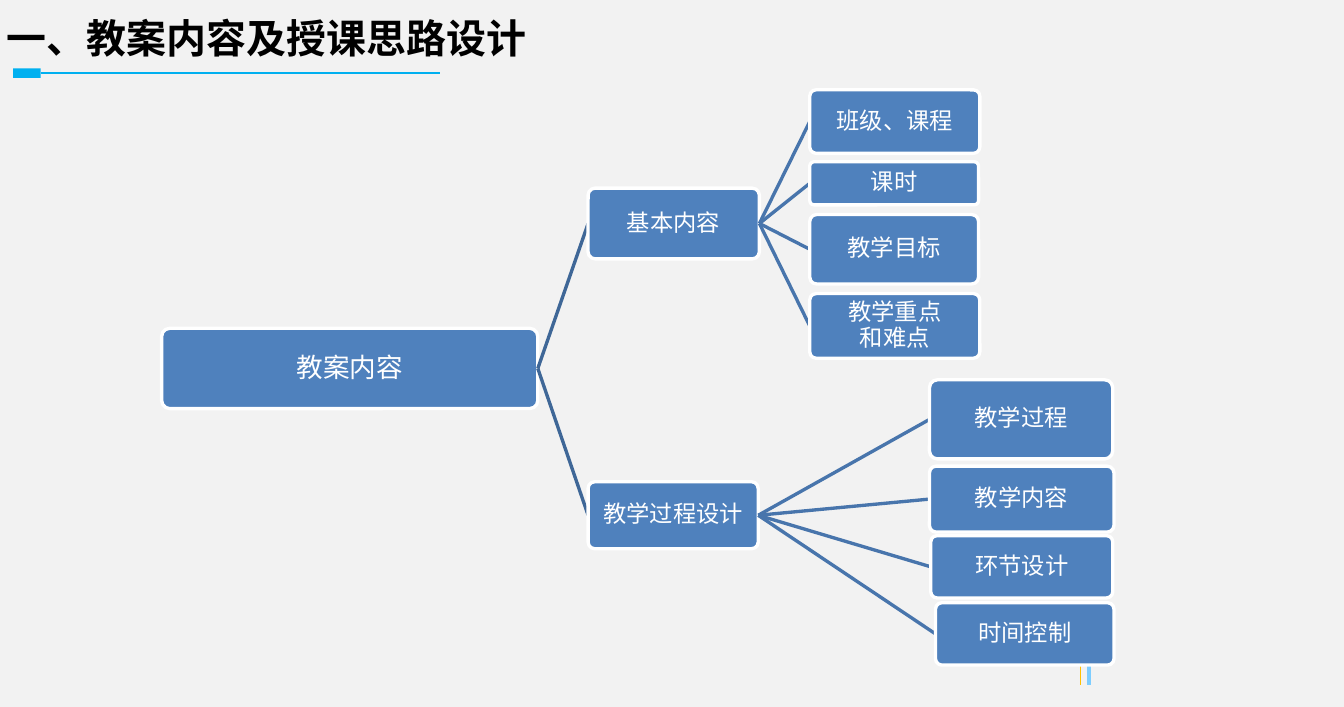
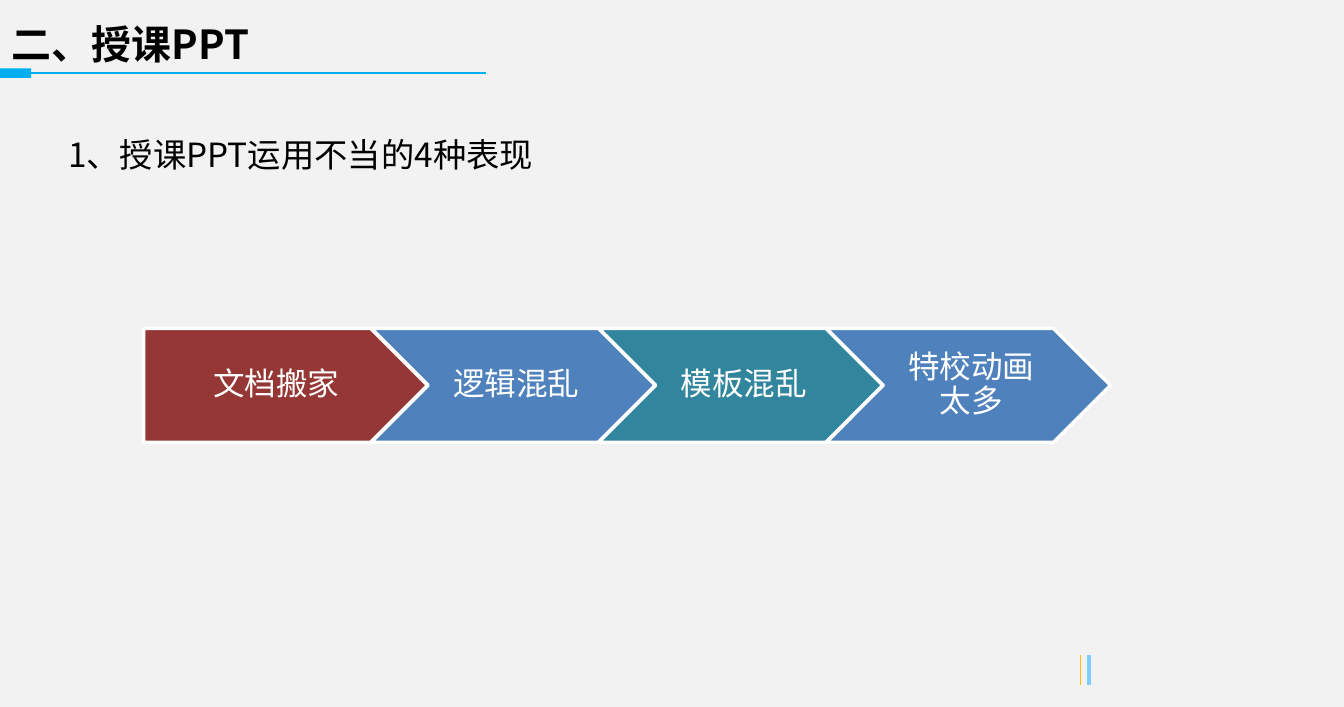
from lxml import etree
from pptx import Presentation
from pptx.dml.color import RGBColor
from pptx.enum.shapes import MSO_CONNECTOR as Connector, MSO_SHAPE as Shape
from pptx.enum.text import MSO_ANCHOR as Anchor, PP_ALIGN as Align
from pptx.oxml.ns import qn
from pptx.util import Emu, Pt

# Content: boxes are (left, top, width, height) in px, 100 px to the inch
ROOT = ("教案内容", (135, 274, 314, 67))
BRANCHES = [
    ("基本内容", (491, 157, 143, 59), [
        ("班级、课程", (676, 75, 142, 53)),
        ("课时", (676, 135, 141, 36)),
        ("教学目标", (676, 179, 141, 58)),
        ("教学重点\v和难点", (676, 245, 142, 54)),
    ]),
    ("教学过程设计", (491, 402, 142, 56), [
        ("教学过程", (776, 317, 153, 66)),
        ("教学内容", (776, 389, 154, 55)),
        ("环节设计", (777, 447, 152, 52)),
        ("时间控制", (781, 503, 149, 52)),
    ]),
]
MISUSES = [
    ("文档搬家", "953735"),
    ("逻辑混乱", "4F81BD"),
    ("模板混乱", "31859C"),
    ("特校动画太多", "4F81BD"),
]

# Shared style
PX = 9144
SLIDE_SIZE = (1122, 590)
CJK = "Noto Sans CJK SC"
BACKGROUND, ACCENT, BLUE = "F2F2F2", "00B0F0", "4F81BD"
BLACK, WHITE = "000000", "FFFFFF"
ROOT_LINK, LEAF_LINK = "3F6797", "4875AC"


def px(value):
    return Emu(round(value * PX))


def color(hex_text):
    return RGBColor.from_string(hex_text)


def set_text(shape, text, size, hex_text, font=CJK, bold=False, align=Align.LEFT,
             anchor=Anchor.MIDDLE, spacing=1.0, insets=(10, 5, 10, 5)):
    frame = shape.text_frame
    frame.word_wrap = True
    frame.vertical_anchor = anchor
    (frame.margin_left, frame.margin_top,
     frame.margin_right, frame.margin_bottom) = map(px, insets)
    paragraph = frame.paragraphs[0]
    paragraph.text = text
    paragraph.alignment = align
    paragraph.line_spacing = spacing
    for run in paragraph.runs:
        run.font.size, run.font.bold, run.font.name = Pt(size), bold, font
        run.font.color.rgb = color(hex_text)
        east_asian = etree.SubElement(run.font._element, qn("a:ea"))
        east_asian.set("typeface", CJK)


def add_text(slide, box, text, size, **style):
    set_text(slide.shapes.add_textbox(*map(px, box)), text, size, BLACK, **style)


def add_block(slide, kind, box, fill, outline=None):
    shape = slide.shapes.add_shape(kind, *map(px, box))
    shape.shadow.inherit = False
    shape.fill.solid()
    shape.fill.fore_color.rgb = color(fill)
    if outline:
        shape.line.color.rgb = color(outline)
        shape.line.width = Pt(2)
    else:
        shape.line.fill.background()
    return shape


def add_line(slide, start, end, hex_text, width):
    line = slide.shapes.add_connector(Connector.STRAIGHT, *map(px, (*start, *end)))
    line.line.color.rgb = color(hex_text)
    line.line.width = Pt(width)
    etree.SubElement(line._element.spPr, qn("a:effectLst"))
    return line


def add_slide(presentation, title, title_box, bar_left, bar_width, rule_end):
    """Slide with corner marks, title, and the bar and rule below it."""
    slide = presentation.slides.add_slide(presentation.slide_layouts[6])
    for x, hex_text, width in [(909, "7DCDFF", 2.25), (902, "FFC000", 0.75)]:
        add_line(slide, (x, 547), (x, 572), hex_text, width)
    add_text(slide, title_box, title, 24, bold=True)
    add_line(slide, (bar_left + bar_width, 61), (rule_end, 61), ACCENT, 0.75)
    add_block(slide, Shape.RECTANGLE, (bar_left, 57, bar_width, 8), ACCENT)
    return slide


# Tree of the lesson plan
def add_node(slide, text, box, size=14, font="Calibri"):
    node = add_block(slide, Shape.ROUNDED_RECTANGLE, box, BLUE, WHITE)
    node.adjustments[0] = 0.1
    set_text(node, text, size, WHITE, font=font, align=Align.CENTER,
             spacing=0.9, insets=(1, 1, 1, 1))
    return node


def add_child(slide, parent, text, box, link_color):
    child = add_node(slide, text, box)
    link = add_line(slide, (0, 0), (0, 0), link_color, 2)
    link.begin_connect(parent, 3)
    link.end_connect(child, 1)
    child._element.addprevious(link._element)
    return child


def build_tree_slide(presentation):
    slide = add_slide(presentation, "一、教案内容及授课思路设计",
                      (-4, 2, 963, 59), 11, 23, 367)
    root = add_node(slide, *ROOT, size=16, font=CJK)
    for text, box, leaves in BRANCHES:
        branch = add_child(slide, root, text, box, ROOT_LINK)
        for leaf_text, leaf_box in leaves:
            add_child(slide, branch, leaf_text, leaf_box, LEAF_LINK)


# Row of arrows
def build_misuse_slide(presentation):
    slide = add_slide(presentation, "二、授课PPT", (0, 8, 945, 57), 0, 26, 406)
    add_text(slide, (47, 90, 998, 111), "1、授课PPT运用不当的4种表现", 20,
             anchor=Anchor.TOP, spacing=1.5)
    left, top, width, height, step = 120, 274, 237, 95, 190
    for index, (text, fill) in enumerate(MISUSES):
        kind = Shape.CHEVRON if index else Shape.PENTAGON
        box = (left + index * step, top, width, height)
        arrow = add_block(slide, kind, box, fill, WHITE)
        set_text(arrow, text, 19, WHITE, align=Align.CENTER, spacing=0.9,
                 insets=(8 if index else 11, 6, 3, 6))


def main():
    presentation = Presentation()
    presentation.slide_width, presentation.slide_height = map(px, SLIDE_SIZE)
    background = presentation.slide_master.background.fill
    background.solid()
    background.fore_color.rgb = color(BACKGROUND)
    build_tree_slide(presentation)
    build_misuse_slide(presentation)
    presentation.save("out.pptx")


if __name__ == "__main__":
    main()
